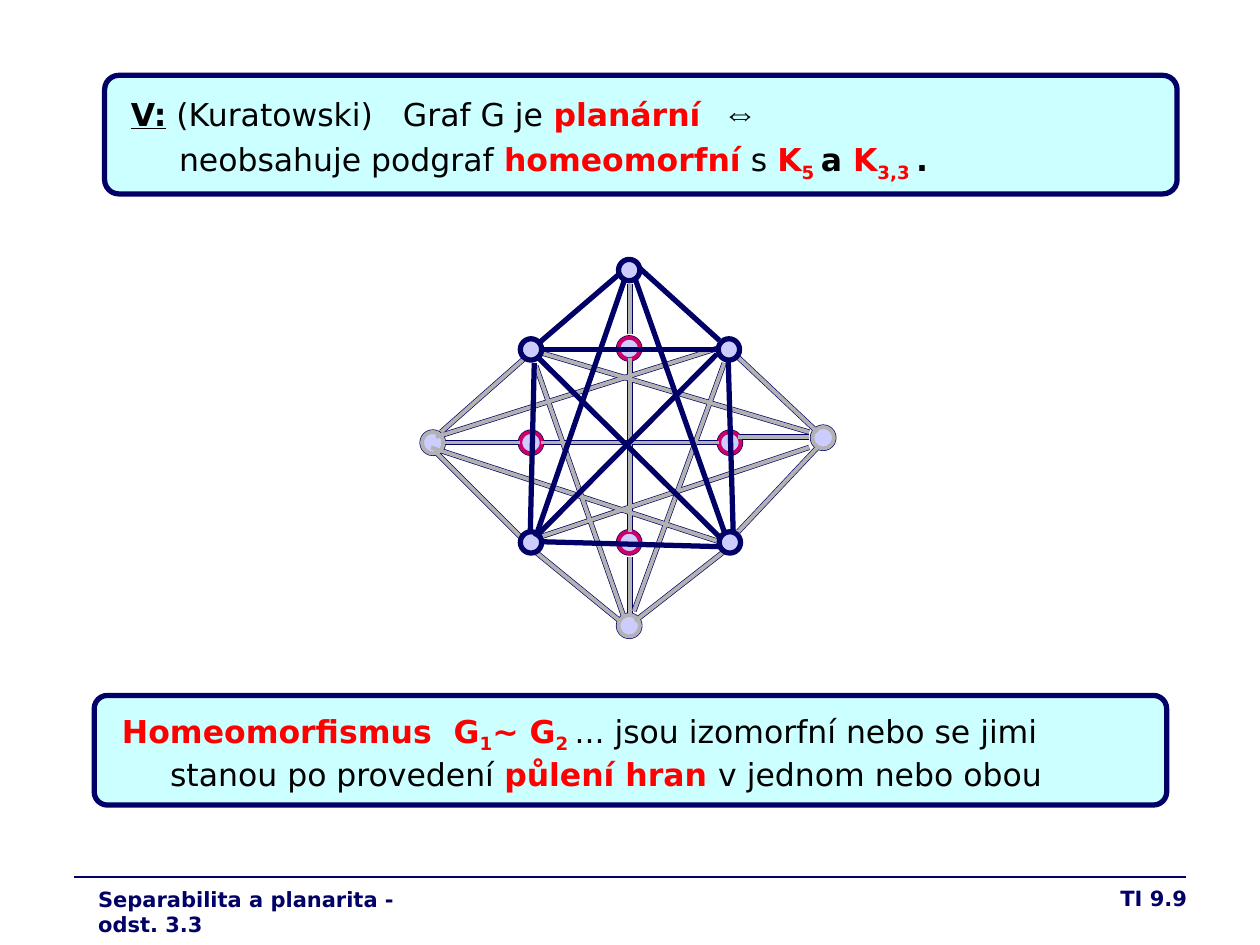
from pptx import Presentation
from pptx import util as u
from pptx.dml.color import RGBColor
from pptx.enum import shapes, text
from pptx.oxml.ns import qn
from lxml import etree

THEME = {
    "font": "DejaVu Sans", "symbol_font": "Arial",
    "navy": "000066", "black": "000000", "red": "FF0000", "panel": "CCFFFF",
    "vertex": "CCCCFF", "under": "3333CC", "magenta": "CC0066", "grey": "B2B2B2",
    "body": 18, "symbol": 20, "footer": 12,
    "thick": 3, "medium": 2.25, "thin": 0.75,
}
STYLES = {
    "plain": {},
    "head": {"bold": True, "underline": True},
    "strong": {"bold": True},
    "key": {"bold": True, "color": "red"},
    "sub": {"bold": True, "color": "red", "baseline": -25000},
    "symbol": {"bold": True, "size": "symbol", "font": "symbol_font"},
    "gap": {"size": "symbol"},
    "footer": {"bold": True, "color": "navy", "size": "footer"},
}

THEOREM = [
    [("V:", "head"), (" (Kuratowski)   Graf G je ", "plain"), ("planární ", "key"),
     (" ", "gap"), ("⇔", "symbol")],
    [("\tneobsahuje podgraf ", "plain"), ("homeomorfní", "key"), (" s ", "plain"),
     ("K", "key"), ("5 ", "sub"), ("a ", "strong"), ("K", "key"), ("3,3 ", "sub"),
     (".", "strong")],
]
DEFINITION = [
    [("Homeomorfismus  G", "key"), ("1", "sub"), ("~ G", "key"), ("2 ", "sub"),
     ("... jsou izomorfní nebo se jimi \tstanou po provedení ", "plain"),
     ("půlení hran ", "key"), ("v jednom nebo obou", "plain")],
]
PANELS = [
    (THEOREM, (2.11, 1.52, 21.62, 2.39), (2.39, 1.73, 21.39, 2.11)),
    (DEFINITION, (1.9, 14.02, 21.62, 2.21), (2.21, 14.22, 21.39, 1.8)),
]
FOOTERS = [
    ("TI 9.9", (18.9, 17.73, 5.28, 0.91), text.PP_ALIGN.RIGHT),
    ("Separabilita a planarita - odst. 3.3", (1.73, 17.75, 7.59, 0.76), text.PP_ALIGN.LEFT),
]
FOOTER_RULE = (1.5, 17.68, 23.9, 17.68)

VERTEX_SIZE = 0.43
OUTER_VERTICES = [(8.51, 8.71), (16.38, 8.61), (12.47, 12.4)]
HALVING_VERTICES = [(14.5, 8.71), (12.47, 6.81), (12.47, 10.72), (10.49, 8.71)]
K5_VERTICES = [(12.47, 5.23), (10.49, 6.83), (10.49, 10.72), (14.5, 10.72), (14.48, 6.83)]
OUTER_EDGES = [
    (12.8, 12.52, 14.58, 11.13), (8.79, 9.12, 10.49, 10.82), (14.88, 10.72, 16.48, 9.02),
    (8.89, 8.71, 10.59, 7.21), (16.48, 8.71, 14.78, 7.11), (12.5, 12.52, 10.8, 11.13),
    (12.78, 12.32, 14.6, 7.32), (12.57, 12.42, 10.8, 7.37), (12.7, 7.21, 12.7, 10.72),
    (8.89, 8.92, 10.49, 8.92), (14.88, 8.81, 16.31, 8.81), (12.7, 5.72, 12.7, 6.73),
    (12.7, 11.23, 12.7, 12.42), (10.9, 8.92, 14.5, 8.92), (10.9, 10.82, 16.31, 9.02),
    (8.69, 9.02, 14.5, 10.92), (8.79, 8.81, 14.5, 7.01), (10.9, 7.11, 16.31, 8.71),
]
K5_EDGES = [
    (10.87, 6.91, 12.5, 5.51), (12.8, 5.61, 14.6, 10.72), (12.9, 5.41, 14.5, 6.86),
    (12.6, 5.61, 10.8, 10.82), (10.85, 7.21, 14.5, 10.82), (10.8, 10.82, 14.45, 7.14),
    (10.97, 7.04, 14.43, 7.04), (10.77, 7.32, 10.69, 10.72), (10.9, 10.92, 14.5, 11.02),
    (14.68, 7.26, 14.78, 10.72),
]
GRAPH_LAYERS = [
    (OUTER_VERTICES, OUTER_EDGES, "under", "navy", "thick"),
    (HALVING_VERTICES, [], "vertex", "navy", "thick"),
    (HALVING_VERTICES, [], "vertex", "magenta", "medium"),
    (OUTER_VERTICES, OUTER_EDGES, "vertex", "grey", "medium"),
    (K5_VERTICES, K5_EDGES, "vertex", "navy", "thick"),
]


def color(name):
    return RGBColor.from_string(THEME[name])


def cm(values):
    return [u.Cm(value) for value in values]


def set_line(line, hue, weight):
    line.color.rgb = color(hue)
    line.width = u.Pt(THEME[weight])


def add_line(slide, ends, hue, weight):
    edge = slide.shapes.add_connector(shapes.MSO_CONNECTOR.STRAIGHT, *cm(ends))
    set_line(edge.line, hue, weight)
    etree.SubElement(edge._element.spPr, qn("a:effectLst"))


def add_outline(slide, preset, box, fill, hue, weight):
    outline = slide.shapes.add_shape(preset, *cm(box))
    outline.shadow.inherit = False
    outline.fill.solid()
    outline.fill.fore_color.rgb = color(fill)
    set_line(outline.line, hue, weight)
    return outline


def add_text(slide, box, paragraphs, align=text.PP_ALIGN.LEFT, hanging=0):
    frame = slide.shapes.add_textbox(*cm(box)).text_frame
    frame.word_wrap = True
    for index, pieces in enumerate(paragraphs):
        paragraph = frame.add_paragraph() if index else frame.paragraphs[0]
        paragraph.alignment = align
        if index:
            paragraph.space_before = paragraph.space_after = u.Pt(3.4)
        if hanging:
            properties = paragraph._p.get_or_add_pPr()
            properties.set("marL", str(u.Cm(hanging)))
            properties.set("indent", str(-u.Cm(hanging)))
        for words, style_name in pieces:
            style = STYLES[style_name]
            run = paragraph.add_run()
            run.text = words
            run.font.name = THEME[style.get("font", "font")]
            run.font.size = u.Pt(THEME[style.get("size", "body")])
            run.font.bold = style.get("bold", False)
            run.font.underline = style.get("underline", False)
            run.font.color.rgb = color(style.get("color", "black"))
            if "baseline" in style:
                run.font._element.set("baseline", str(style["baseline"]))


def main():
    deck = Presentation()
    deck.slide_width, deck.slide_height = cm((25.4, 19.05))
    slide = deck.slides.add_slide(deck.slide_layouts[6])

    add_line(slide, FOOTER_RULE, "navy", "thin")
    for words, box, align in FOOTERS:
        add_text(slide, box, [[(words, "footer")]], align)

    for paragraphs, panel_box, text_box in PANELS:
        panel = add_outline(slide, shapes.MSO_SHAPE.ROUNDED_RECTANGLE, panel_box,
                            "panel", "navy", "thick")
        panel.adjustments[0] = 0.12
        add_text(slide, text_box, paragraphs, hanging=0.97)

    for vertices, edges, fill, hue, weight in GRAPH_LAYERS:
        for left, top in vertices:
            add_outline(slide, shapes.MSO_SHAPE.OVAL,
                        (left, top, VERTEX_SIZE, VERTEX_SIZE), fill, hue, weight)
        for ends in edges:
            add_line(slide, ends, hue, weight)

    deck.save("out.pptx")


if __name__ == "__main__":
    main()
